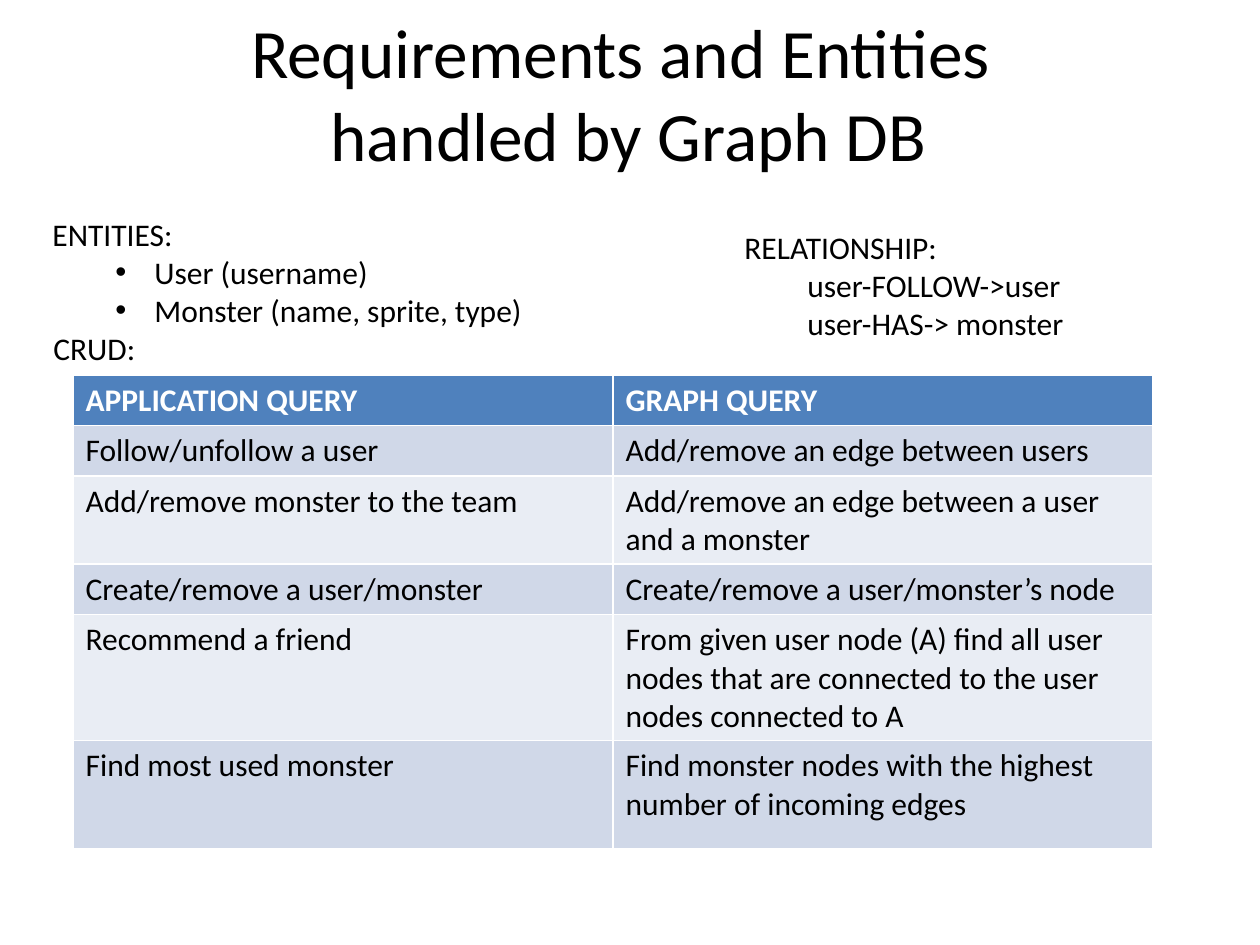
from pptx import Presentation
from pptx.dml.color import RGBColor as Rgb
from pptx.enum.text import MSO_ANCHOR as Anchor, PP_ALIGN as Align
from pptx.util import Pt
from lxml.etree import SubElement as Sub

PX = 914400 / 126
NS = "{http://schemas.openxmlformats.org/drawingml/2006/main}"
HUE = {"ink": "000000", "paper": "FFFFFF", "head": "4F81BD",
       "odd": "D0D8E8", "even": "E9EDF4"}
ROWS = [
    (48, "APPLICATION QUERY", "GRAPH QUERY"),
    (48, "Follow/unfollow a user", "Add/remove an edge between users"),
    (84, "Add/remove monster to the team",
     "Add/remove an edge between a user and a monster"),
    (48, "Create/remove a user/monster", "Create/remove a user/monster’s node"),
    (121, "Recommend a friend",
     "From given user node (A) find all user nodes that are connected "
     "to the user nodes connected to A"),
    (108, "Find most used monster",
     "Find monster nodes with the highest number of incoming edges"),
]


def emu(px):
    """Turn px into EMU."""
    return round(px * PX)


def write(para, text, size=18, hue="ink", bold=False, align=Align.LEFT,
          left=0, hang=0, dot=False):
    """Fill a paragraph with formatted text."""
    para.text = text
    para.alignment = align
    for run in para.runs:
        font = run.font
        font.name, font.size, font.bold = "Calibri", Pt(size), bold
        font.color.rgb = Rgb.from_string(HUE[hue])
    props = para._p.get_or_add_pPr()
    props.set("marL", str(emu(left)))
    props.set("indent", str(emu(-hang)))
    if dot:
        Sub(props, NS + "buFont", typeface="Arial")
        Sub(props, NS + "buChar", char="•")


def block(slide, box, lines, anchor=Anchor.TOP):
    """Place a text box with one paragraph per (text, format) line."""
    frame = slide.shapes.add_textbox(*map(emu, box)).text_frame
    frame.word_wrap = True
    frame.vertical_anchor = anchor
    for i, (text, form) in enumerate(lines):
        para = frame.add_paragraph() if i else frame.paragraphs[0]
        write(para, text, **form)


def title(slide, box):
    """Place the two-line heading."""
    text = "Requirements and Entities \vhandled by Graph DB"
    block(slide, box, [(text, {"size": 39.6, "align": Align.CENTER})],
          Anchor.MIDDLE)


def entities(slide, box):
    """Place the entity list and the table label."""
    item = {"left": 102, "hang": 39, "dot": True}
    block(slide, box, [("ENTITIES:", {}), ("User (username)", item),
                       ("Monster (name, sprite, type)", item),
                       ("CRUD:", {"left": 1})])


def relations(slide, box):
    """Place the relationship list."""
    item = {"left": 63}
    block(slide, box, [("RELATIONSHIP:", {}), ("user-FOLLOW->user", item),
                       ("user-HAS-> monster", item)])


def queries(slide, box):
    """Place the table that maps application queries to graph queries."""
    grid = slide.shapes.add_table(len(ROWS), 2, *map(emu, box)).table
    for col in grid.columns:
        col.width = emu(box[2] / 2)
    for i, (high, *texts) in enumerate(ROWS):
        grid.rows[i].height = emu(high)
        fill = ("odd" if i % 2 else "even") if i else "head"
        for j, text in enumerate(texts):
            cell = grid.cell(i, j)
            cell.fill.solid()
            cell.fill.fore_color.rgb = Rgb.from_string(HUE[fill])
            write(cell.text_frame.paragraphs[0], text,
                  hue="ink" if i else "paper", bold=not i)


def main():
    """Build and save the slide."""
    deck = Presentation()
    deck.slide_width, deck.slide_height = emu(1260), emu(945)
    slide = deck.slides.add_slide(deck.slide_layouts[6])
    title(slide, (25, 13, 1207, 158))
    entities(slide, (40, 209, 536, 204))
    queries(slide, (73, 375, 1080, sum(row[0] for row in ROWS)))
    relations(slide, (732, 222, 362, 127))
    deck.save("out.pptx")


if __name__ == "__main__":
    main()
